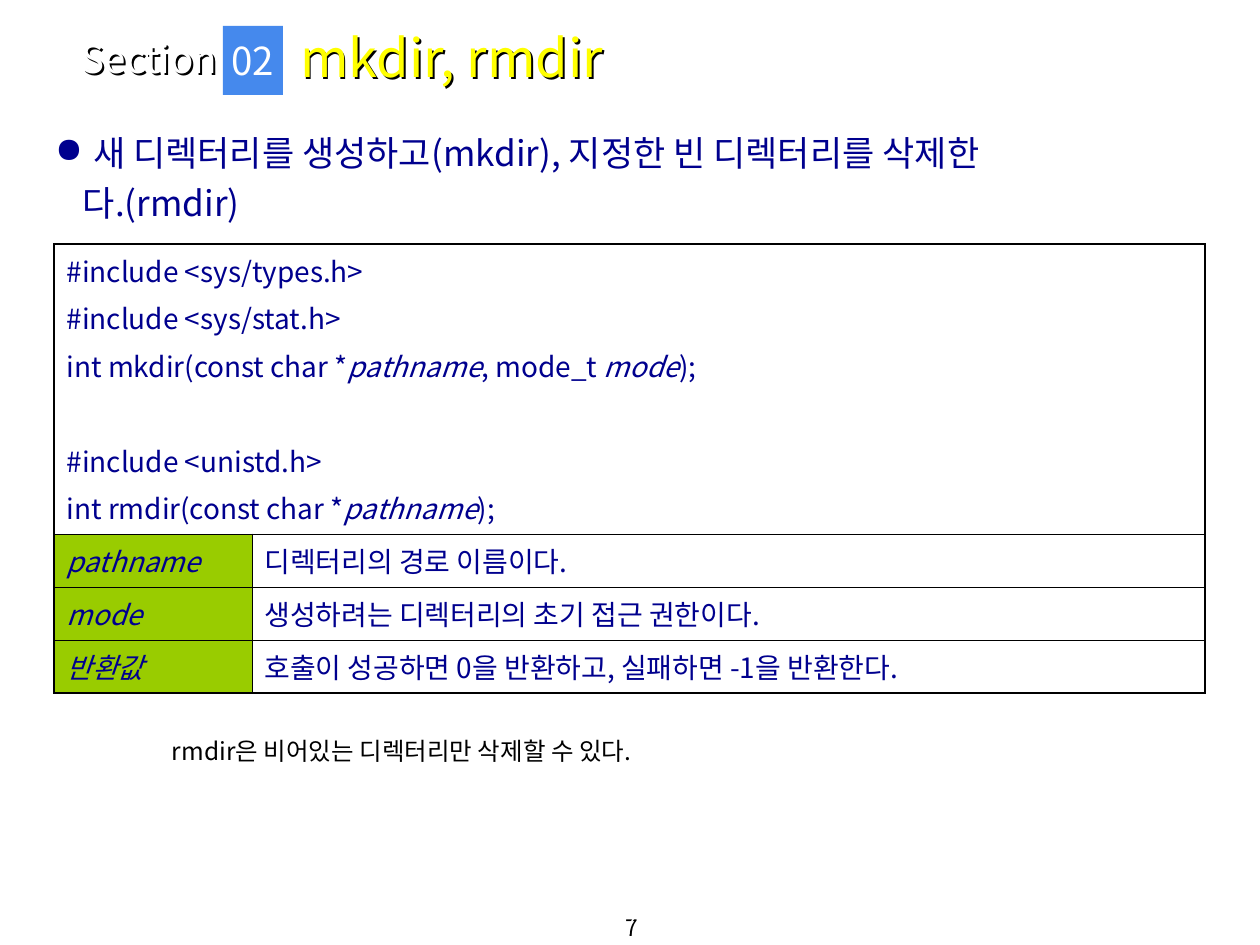
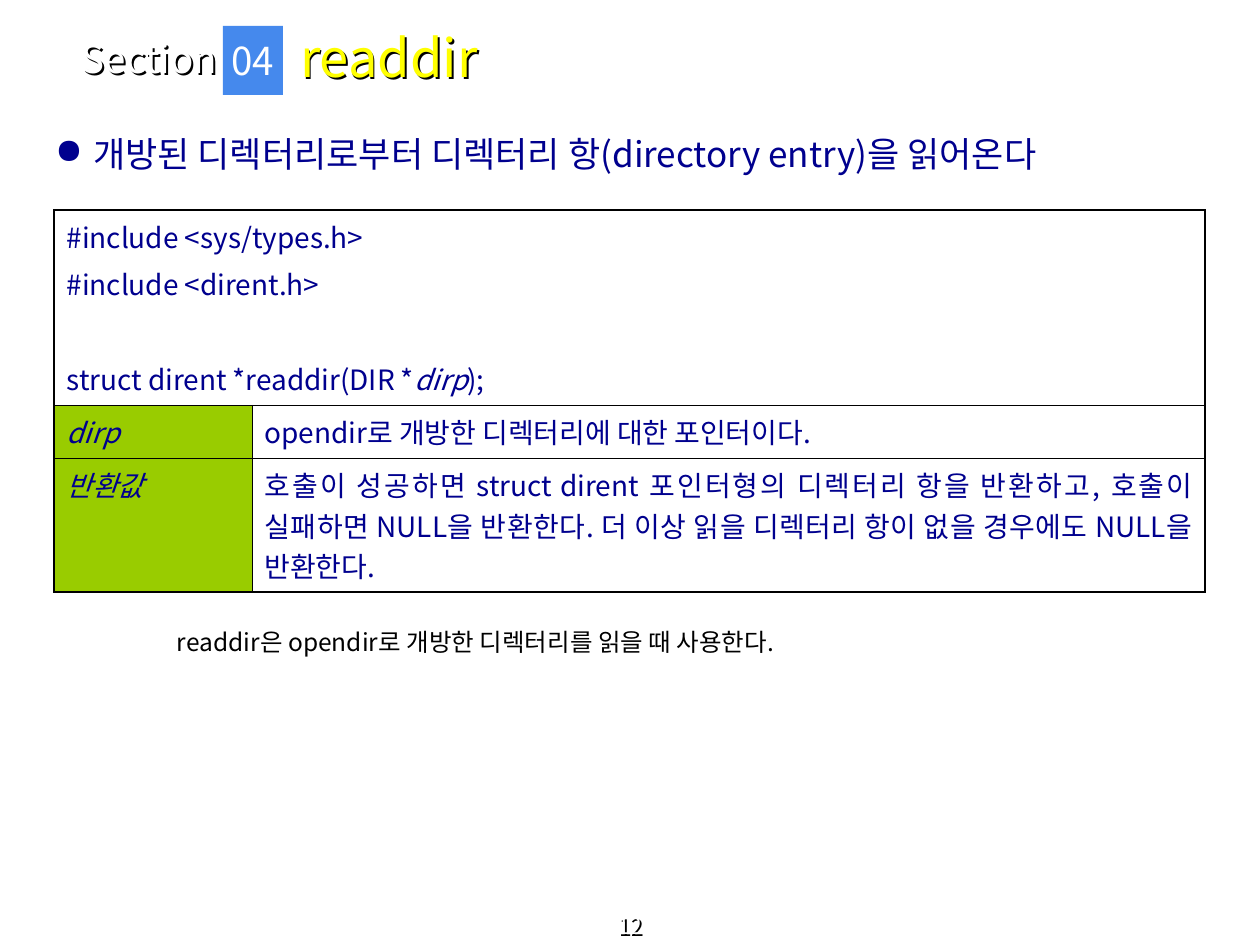
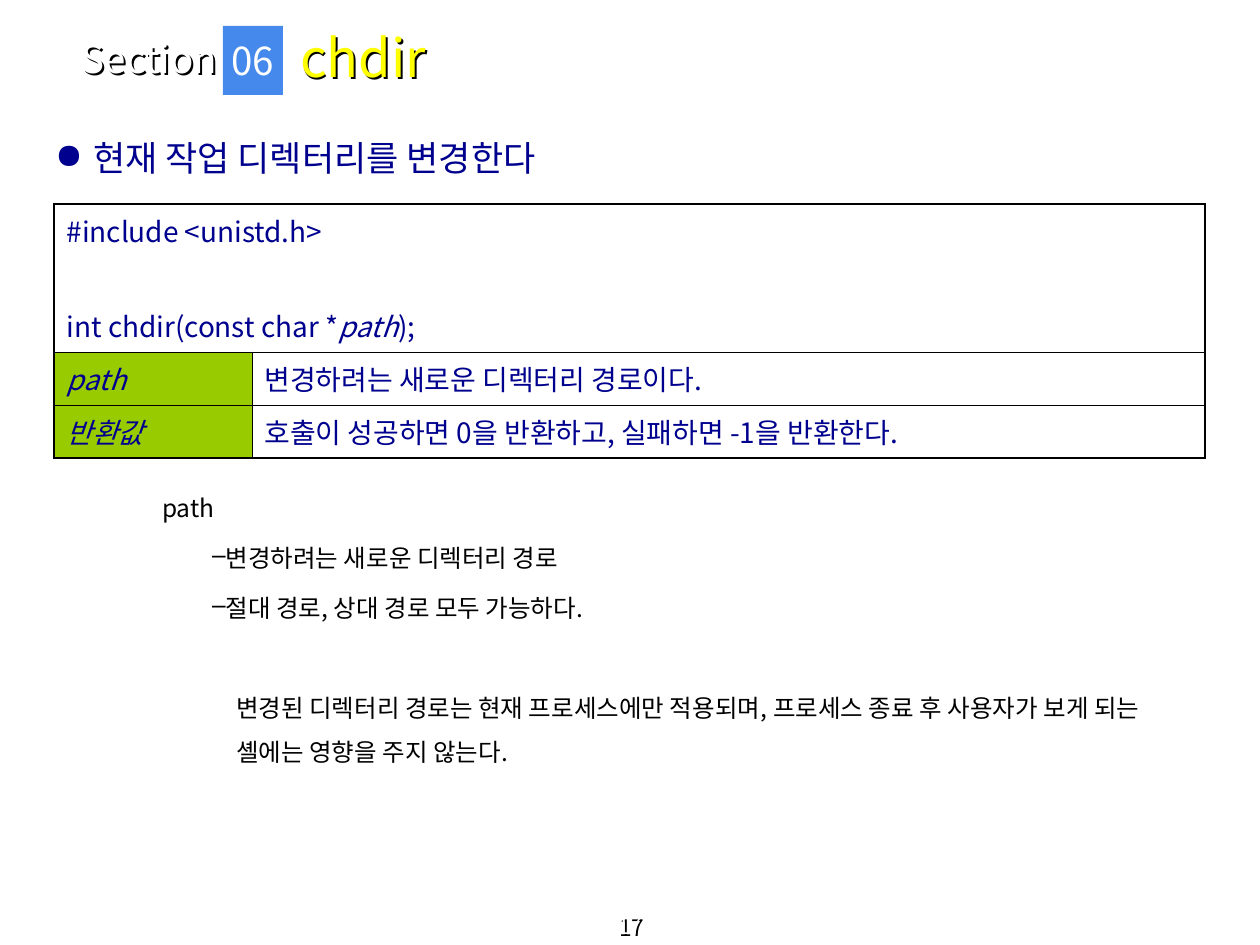
from lxml import etree
from pptx import Presentation
from pptx.dml.color import RGBColor
from pptx.enum import shapes, text
from pptx.oxml import ns
from pptx.util import Emu, Pt

PX_PER_INCH = 126
FONT = "Noto Sans CJK KR"
COLORS = {"navy": "00008E", "green": "99CC00", "blue": "4589ED",
          "yellow": "FFFF00", "white": "FFFFFF", "black": "000000"}

# Text styles: size in points and colour name
STYLES = {
    "title": (30, "yellow"), "section": (22, "white"), "footer": (13, "white"),
    "lead": (20, "navy"), "table": (16, "navy"), "note": (14, "black"),
}
TABLE_LEFT, COLUMN_WIDTHS = 54, (198, 953)
ROW_HEIGHT = 53
OUTER_LINE, INNER_LINE = 1.08, 0.45
LINE_GAP, GROUP_GAP = 4, 31.2
LEFT, CENTER, JUSTIFY = (text.PP_ALIGN.LEFT, text.PP_ALIGN.CENTER,
                         text.PP_ALIGN.JUSTIFY)
MIDDLE, BOTTOM = text.MSO_ANCHOR.MIDDLE, text.MSO_ANCHOR.BOTTOM


def px(value):
    return Emu(round(value * 914400 / PX_PER_INCH))


def color(name):
    return RGBColor.from_string(COLORS[name])


def add_element(parent, tag, **attributes):
    return etree.SubElement(parent, ns.qn(tag), attributes)


class Deck:
    def __init__(self):
        self.presentation = Presentation()
        self.presentation.slide_width = px(1260)
        self.presentation.slide_height = px(945)
        self.slide = None

    def new_slide(self, number, title, page):
        layout = self.presentation.slide_layouts[5]
        self.slide = self.presentation.slides.add_slide(layout)
        self.text_box((0, 917, 1260, 28), [page], "footer", BOTTOM,
                      shadow=True, alignment=CENTER)
        self.text_box((69, 34, 243, 48), ["Section"], "section", MIDDLE,
                      shadow=True)
        self.title(title)
        self.badge(number)

    # Text
    def fill_paragraph(self, paragraph, content, style, margin=0, hanging=0,
                       bullet=None, **formats):
        """Fill a paragraph; every second part between bars is italic."""
        properties = paragraph._p.get_or_add_pPr()
        properties.set("marL", str(px(margin)))
        properties.set("indent", str(-px(hanging)))
        if bullet:
            add_element(properties, "a:buChar", char=bullet)
        else:
            add_element(properties, "a:buNone")
        values = {"alignment": LEFT, "space_before": Pt(0), **formats}
        for name, value in values.items():
            setattr(paragraph, name, value)
        size, color_name = STYLES[style]
        for index, part in enumerate(content.split("|")):
            if not part:
                continue
            run = paragraph.add_run()
            run.text = part
            font_values = {"name": FONT, "size": Pt(size), "bold": False,
                           "italic": index % 2 == 1}
            for name, value in font_values.items():
                setattr(run.font, name, value)
            run.font.color.rgb = color(color_name)
            add_element(run._r.get_or_add_rPr(), "a:ea", typeface=FONT)

    def fill_frame(self, frame, lines, style, **formats):
        """Set lines given as text or as (text, own formats)."""
        for index, line in enumerate(lines):
            content, own = (line, {}) if isinstance(line, str) else line
            paragraph = frame.add_paragraph() if index else frame.paragraphs[0]
            self.fill_paragraph(paragraph, content, style, **{**formats, **own})

    def set_frame(self, frame, anchor, wrap=True):
        values = {"word_wrap": wrap, "vertical_anchor": anchor,
                  "auto_size": text.MSO_AUTO_SIZE.NONE,
                  "margin_left": px(13), "margin_right": px(13),
                  "margin_top": px(6), "margin_bottom": px(6)}
        for name, value in values.items():
            setattr(frame, name, value)

    def text_shadow(self, shape):
        shape.fill.background()
        shape.shadow.inherit = False
        effects = shape._element.spPr.find(ns.qn("a:effectLst"))
        outer = add_element(effects, "a:outerShdw", dist="20000",
                            dir="2700000", algn="tl", rotWithShape="0")
        add_element(outer, "a:srgbClr", val=COLORS["black"])

    def text_box(self, box, lines, style, anchor=text.MSO_ANCHOR.TOP,
                 shadow=False, **formats):
        shape = self.slide.shapes.add_textbox(*map(px, box))
        self.set_frame(shape.text_frame, anchor)
        self.fill_frame(shape.text_frame, lines, style, **formats)
        if shadow:
            self.text_shadow(shape)

    # Heading
    def title(self, content):
        shape = self.slide.shapes.title
        box = zip(("left", "top", "width", "height"), (287, 14, 818, 86))
        for name, value in box:
            setattr(shape, name, px(value))
        self.set_frame(shape.text_frame, MIDDLE)
        self.fill_frame(shape.text_frame, [content], "title")
        self.text_shadow(shape)

    def badge(self, number):
        shape = self.slide.shapes.add_shape(
            shapes.MSO_SHAPE.RECTANGLE, *map(px, (223, 26, 60, 69)))
        shape.shadow.inherit = False
        shape.fill.solid()
        shape.fill.fore_color.rgb = color("blue")
        shape.line.fill.background()
        self.set_frame(shape.text_frame, MIDDLE, wrap=False)
        self.fill_frame(shape.text_frame, [number], "section",
                        alignment=CENTER)

    def lead(self, top, height, content, continuation=None, **formats):
        lines = [(content, {"margin": 38, "hanging": 38, "bullet": "●"})]
        if continuation:
            lines.append((continuation, {"margin": 28, "space_before": Pt(5)}))
        self.text_box((42, top, 1176, height), lines, "lead", **formats)

    # Function table
    def borders(self, cell, outer_sides):
        properties = cell._tc.get_or_add_tcPr()
        for side in "LRTB":
            width = OUTER_LINE if side in outer_sides else INNER_LINE
            line = add_element(properties, f"a:ln{side}", w=str(Pt(width)))
            fill = add_element(line, "a:solidFill")
            add_element(fill, "a:srgbClr", val=COLORS["black"])

    def function_table(self, top, code_groups, code_height, rows,
                       last_height=ROW_HEIGHT):
        heights = [code_height] + [ROW_HEIGHT] * (len(rows) - 1) + [last_height]
        frame = self.slide.shapes.add_table(
            len(heights), 2, px(TABLE_LEFT), px(top),
            px(sum(COLUMN_WIDTHS)), px(sum(heights)))
        table = frame.table
        table.first_row = table.horz_banding = False
        for column, width in zip(table.columns, COLUMN_WIDTHS):
            column.width = px(width)
        for row, height in zip(table.rows, heights):
            row.height = px(height)

        last = len(rows)
        for row in range(last + 1):
            for column in range(2):
                cell = table.cell(row, column)
                sides = "LR"[column]
                sides += "T" if row == 0 else "B" if row == last else ""
                self.borders(cell, "LRT" if row == 0 else sides)
                if row and column == 0:
                    cell.fill.solid()
                    cell.fill.fore_color.rgb = color("green")
                else:
                    cell.fill.background()

        # Declarations, with a wider gap between groups
        lines = []
        for group in code_groups:
            for index, code in enumerate(group):
                gap = LINE_GAP if index else GROUP_GAP if lines else 0
                lines.append((code, {"space_before": Pt(gap)}))
        table.cell(0, 0).merge(table.cell(0, 1))
        self.fill_frame(table.cell(0, 0).text_frame, lines, "table")

        # Arguments and return value
        for row, (name, meaning) in enumerate(rows, start=1):
            self.fill_frame(table.cell(row, 0).text_frame, [f"|{name}|"],
                            "table")
            self.fill_frame(table.cell(row, 1).text_frame, [meaning], "table",
                            alignment=JUSTIFY)


def main():
    deck = Deck()
    zero_or_minus_one = ("반환값", "호출이 성공하면 0을 반환하고, 실패하면 -1을 반환한다.")

    # mkdir, rmdir
    deck.new_slide("02", "mkdir, rmdir", "7")
    deck.lead(125, 110, "새 디렉터리를 생성하고(mkdir), 지정한 빈 디렉터리를 삭제한",
              "다.(rmdir)")
    deck.function_table(
        244,
        [["#include <sys/types.h>", "#include <sys/stat.h>",
          "int mkdir(const char *|pathname|, mode_t |mode|);"],
         ["#include <unistd.h>", "int rmdir(const char *|pathname|);"]],
        290,
        [("pathname", "디렉터리의 경로 이름이다."),
         ("mode", "생성하려는 디렉터리의 초기 접근 권한이다."),
         zero_or_minus_one])
    deck.text_box((159, 730, 650, 50),
                  ["rmdir은 비어있는 디렉터리만 삭제할 수 있다."], "note")

    # readdir
    deck.new_slide("04", "readdir", "12")
    deck.lead(135, 49,
              "개방된 디렉터리로부터 디렉터리 항(directory entry)을 읽어온다",
              line_spacing=0.8)
    deck.function_table(
        210,
        [["#include <sys/types.h>", "#include <dirent.h>"],
         ["struct dirent *readdir(DIR *|dirp|);"]],
        195,
        [("dirp", "opendir로 개방한 디렉터리에 대한 포인터이다."),
         ("반환값", "호출이 성공하면 struct dirent 포인터형의 디렉터리 항을 반환하고, "
          "호출이 실패하면 NULL을 반환한다. 더 이상 읽을 디렉터리 항이 없을 경우에도 "
          "NULL을 반환한다.")],
        last_height=134)
    deck.text_box((164, 621, 963, 59),
                  ["readdir은 opendir로 개방한 디렉터리를 읽을 때 사용한다."], "note")

    # chdir
    deck.new_slide("06", "chdir", "17")
    deck.lead(135, 59, "현재 작업 디렉터리를 변경한다", line_spacing=0.9)
    deck.function_table(
        204,
        [["#include <unistd.h>"], ["int chdir(const char *|path|);"]],
        147,
        [("path", "변경하려는 새로운 디렉터리 경로이다."), zero_or_minus_one])
    dash = {"margin": 63, "hanging": 13, "bullet": "–",
            "space_before": Pt(3.5)}
    deck.text_box(
        (149, 472, 1067, 358),
        ["path",
         ("변경하려는 새로운 디렉터리 경로", dash),
         ("절대 경로, 상대 경로 모두 가능하다.", dash),
         ("변경된 디렉터리 경로는 현재 프로세스에만 적용되며, 프로세스 종료 후 사용자가 "
          "보게 되는 셸에는 영향을 주지 않는다.",
          {"margin": 74, "space_before": Pt(32)})],
        "note", line_spacing=1.5)

    deck.presentation.save("out.pptx")


if __name__ == "__main__":
    main()
